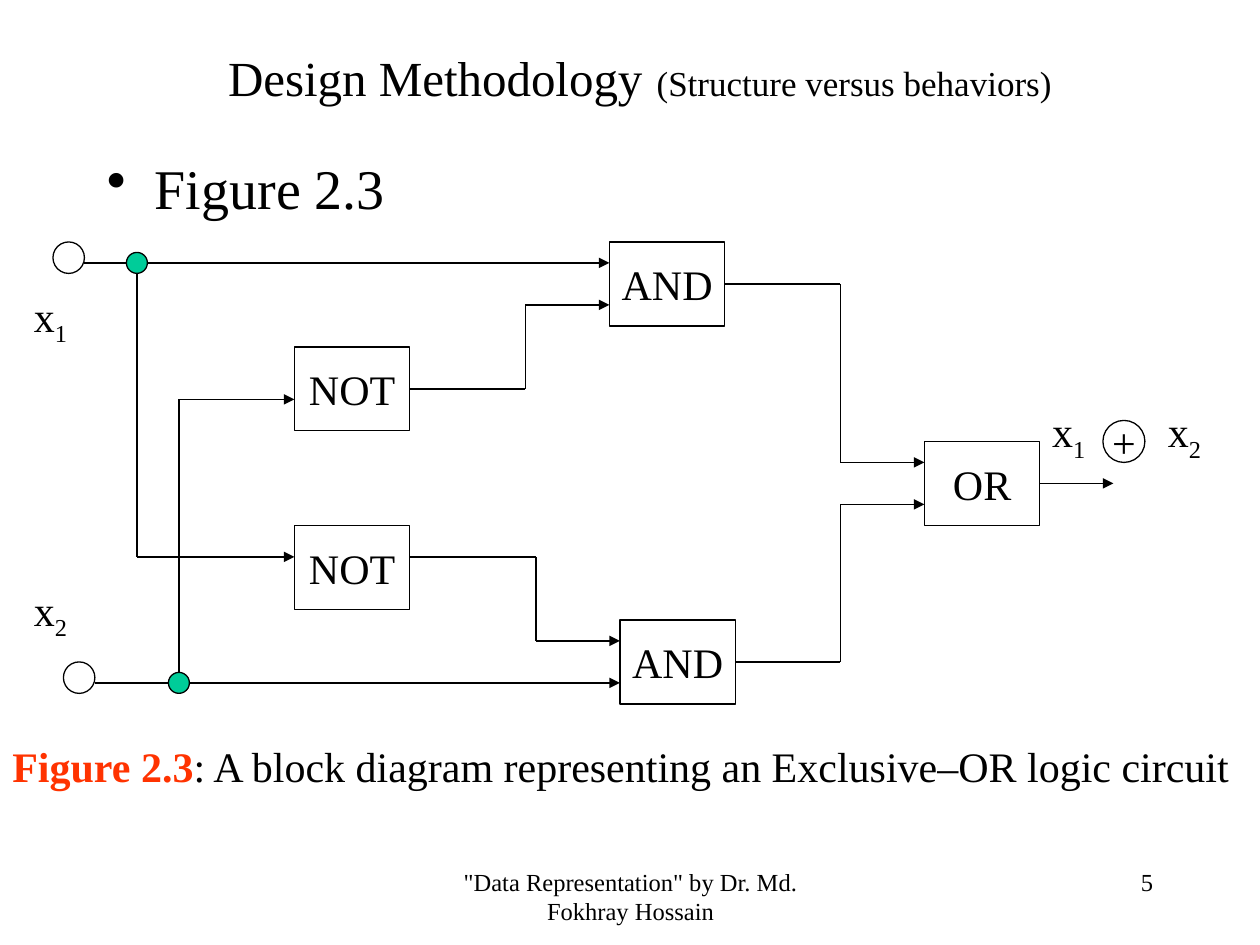
from itertools import pairwise

from lxml import etree
from pptx import Presentation
from pptx import util as u
from pptx.dml.color import RGBColor
from pptx.enum import shapes, text
from pptx.oxml import ns

COLORS = {"ink": "000000", "paper": "FFFFFF", "junction": "00CC99", "accent": "FF3300"}
FONT = "Times New Roman"
GRID = 1 / 12  # inches per step of the circuit grid


def rgb(name):
    return RGBColor.from_string(COLORS[name])


def write(frame, runs, align="LEFT", anchor="TOP", wrap=True):
    """Fill a frame with one paragraph of (words, format) runs."""
    frame.word_wrap = wrap
    frame.vertical_anchor = getattr(text.MSO_ANCHOR, anchor)
    paragraph = frame.paragraphs[0]
    paragraph.alignment = getattr(text.PP_ALIGN, align)
    for words, changes in runs:
        run = paragraph.add_run()
        run.text = words
        style = {"name": FONT, "size": 24, "color": "ink"} | changes
        run.font.color.rgb = rgb(style.pop("color"))
        run.font.size = u.Pt(style.pop("size"))
        baseline = style.pop("baseline", None)
        if baseline:
            run.font._element.set("baseline", str(baseline))
        for key, value in style.items():
            setattr(run.font, key, value)
    return paragraph


def add_text(slide, box, runs, **layout):
    frame = slide.shapes.add_textbox(*map(u.Inches, box)).text_frame
    return write(frame, runs, **layout)


def add_outlined(slide, kind, box, fill="paper", words=None):
    shape = slide.shapes.add_shape(kind, *map(u.Inches, box))
    shape.shadow.inherit = False
    shape.fill.solid()
    shape.fill.fore_color.rgb = rgb(fill)
    shape.line.color.rgb = rgb("ink")
    shape.line.width = u.Pt(0.75)
    if words:
        write(shape.text_frame, [(words, {})], "CENTER", "MIDDLE", wrap=False)


def add_wire(slide, start, end, arrow):
    wire = slide.shapes.add_connector(
        shapes.MSO_CONNECTOR.STRAIGHT, *map(u.Inches, start + end))
    wire.line.color.rgb = rgb("ink")
    wire.line.width = u.Pt(0.75)
    if arrow:
        etree.SubElement(wire.line._get_or_add_ln(), ns.qn("a:tailEnd"), type="triangle")
    etree.SubElement(wire._element.spPr, ns.qn("a:effectLst"))


def add_heading(slide, box):
    left, top, width, height = box
    add_text(slide, (left, top, width, 0.67), [
        ("Design Methodology", {"size": 28}),
        (" ", {"size": 32}),
        ("(Structure versus behaviors)", {"size": 20}),
    ], align="CENTER", anchor="MIDDLE")

    # Bulleted line under the title
    bullet = add_text(slide, (left - 0.08, top + 0.92, width, height - 0.92),
                      [("Figure 2.3", {"size": 32})])
    properties = bullet._p.get_or_add_pPr()
    properties.set("marL", str(u.Inches(0.38)))
    properties.set("indent", str(u.Inches(-0.38)))
    etree.SubElement(properties, ns.qn("a:buChar"), char="•")


def add_circuit(slide, box):
    left, top = box[:2]

    def point(x, y):
        return left + x * GRID, top + y * GRID

    def area(x, y, width, height):
        return (*point(x, y), width * GRID, height * GRID)

    # Wires: each route ends in an arrowhead
    routes = [
        [(6, 2), (56, 2)],
        [(7, 42), (57, 42)],
        [(15, 42), (15, 15), (26, 15)],
        [(11, 2), (11, 30), (26, 30)],
        [(37, 30), (49, 30), (49, 38), (57, 38)],
        [(37, 14), (48, 14), (48, 6), (56, 6)],
        [(67, 4), (78, 4), (78, 21), (86, 21)],
        [(68, 40), (78, 40), (78, 25), (86, 25)],
        [(97, 23), (104, 23)],
    ]
    for route in routes:
        for start, end in pairwise(route):
            add_wire(slide, point(*start), point(*end), arrow=end == route[-1])

    # Gates
    gates = [("NOT", 26, 27), ("NOT", 26, 10), ("AND", 56, 0), ("AND", 57, 36), ("OR", 86, 19)]
    for name, x, y in gates:
        add_outlined(slide, shapes.MSO_SHAPE.RECTANGLE, area(x, y, 11, 8), words=name)

    # Input terminals, junctions and the exclusive-or sign
    circles = [
        (3, 0, 3, "paper", None), (4, 40, 3, "paper", None),
        (10, 1, 2, "junction", None), (14, 41, 2, "junction", None),
        (103, 17, 4, "paper", "+"),
    ]
    for x, y, size, fill, sign in circles:
        add_outlined(slide, shapes.MSO_SHAPE.OVAL, area(x, y, size, size), fill, sign)

    # Signal labels
    for index, x, y in [("1", 0, 4), ("2", 0, 32), ("1", 97, 15), ("2", 108, 15)]:
        add_text(slide, area(x, y, 7, 6.7), [("x", {}), (index, {"baseline": -25000})])


def add_caption(slide, box):
    add_text(slide, box, [
        ("Figure 2.3", {"color": "accent", "bold": True}),
        (": A block diagram representing an Exclusive–OR logic circuit", {}),
    ])


def add_footer(slide, box):
    left, top, width, height = box
    add_text(slide, (left, top, 3.17, height),
             [('"Data Representation" by Dr. Md. Fokhray Hossain', {"size": 14})], align="CENTER")
    add_text(slide, (left + width - 2.08, top, 2.08, height),
             [("5", {"size": 14})], align="RIGHT")


def main():
    deck = Presentation()
    deck.slide_width, deck.slide_height = u.Inches(10), u.Inches(7.5)
    slide = deck.slides.add_slide(deck.slide_layouts[6])
    add_footer(slide, (3.42, 6.83, 5.83, 0.5))
    add_heading(slide, (0.83, 0.25, 8.5, 1.6))
    add_circuit(slide, (0.17, 1.92, 9.58, 3.67))
    add_caption(slide, (0, 5.83, 10, 0.5))
    deck.save("out.pptx")


if __name__ == "__main__":
    main()
